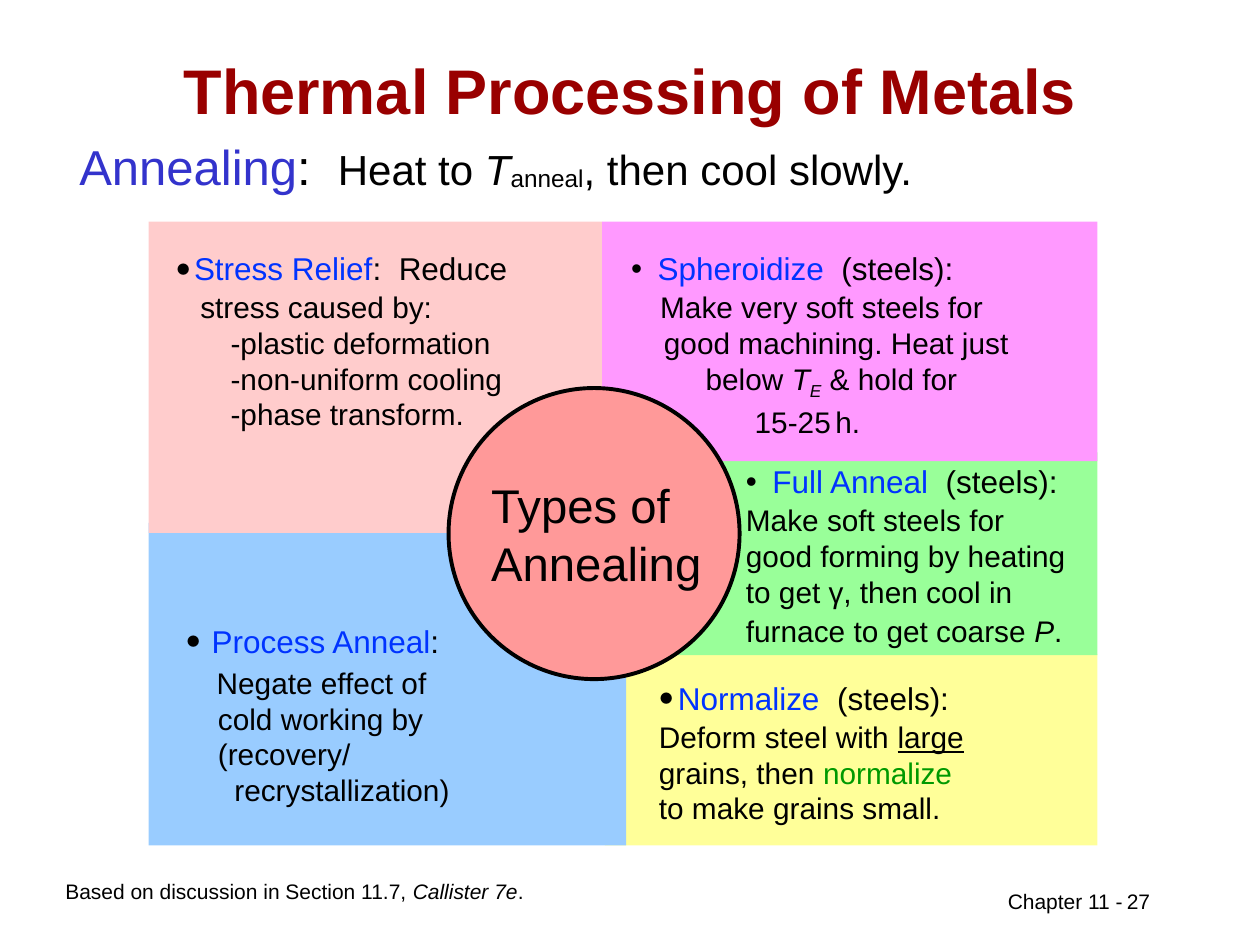
from dataclasses import dataclass

from lxml import etree
from pptx import Presentation
from pptx import util as u
from pptx.dml.color import RGBColor
from pptx.enum import shapes, text
from pptx.oxml import ns

BLACK, BLUE = "000000", "0033FF"
ROUND = "TeX Gyre Adventor"


@dataclass
class Run:
    """A piece of text with its own format."""
    words: str
    color: str = BLACK
    size: float = 17
    bold: bool = False
    italic: bool = False
    underline: bool = False
    baseline: int = 0


@dataclass
class Line:
    """A line of text, its left indent in inches and space before in points."""
    runs: list[Run]
    indent: float = 0
    before: float = 0


@dataclass
class Panel:
    """A coloured rectangle."""
    left: float
    top: float
    width: float
    height: float
    color: str


@dataclass
class Note:
    """A bulleted heading with the lines below it."""
    left: float
    top: float
    width: float
    hang: float
    bullet_font: str
    name: str
    rest: str
    lines: list[Line]


PANELS = [
    Panel(4.8, 5.19, 3.91, 1.52, "FFFF99"),
    Panel(1.18, 4.15, 3.79, 2.56, "99CCFF"),
    Panel(4.81, 3.59, 3.9, 1.61, "99FF99"),
    Panel(1.18, 1.76, 3.6, 2.47, "FFCCCC"),
    Panel(4.78, 1.76, 3.93, 1.9, "FF99FF"),
]

NOTES = [
    Note(1.47, 4.94, 2.4, 0.21, ROUND, "Process Anneal", ":", [
        Line([Run("Negate effect of")], 0.25, 2.5),
        Line([Run("cold working by")], 0.26),
        Line([Run("(recovery/")], 0.26),
        Line([Run("recrystallization)")], 0.39)]),
    Note(1.39, 1.98, 3, 0.15, ROUND, "Stress Relief", ":  Reduce", [
        Line([Run("stress caused by:")], 0.2, 1),
        Line([Run("-plastic deformation")], 0.44),
        Line([Run("-non-uniform cooling")], 0.44),
        Line([Run("-phase transform.")], 0.44)]),
    Note(5.23, 5.39, 3.2, 0.15, ROUND, "Normalize", "  (steels):", [
        Line([Run("Deform steel with "), Run("large", underline=True)], 0, 1),
        Line([Run("grains, then "), Run("normalize", "009900")]),
        Line([Run("to make grains small.")])]),
    Note(5.92, 3.67, 2.75, 0.21, "Arial", "Full Anneal", "  (steels):", [
        Line([Run("Make soft steels for")], 0, 1),
        Line([Run("good forming by heating")]),
        Line([Run("to get γ, then cool in")]),
        Line([Run("furnace to get coarse "), Run("P", italic=True), Run(".")], 0, 2)]),
    Note(5.01, 1.98, 3.5, 0.21, "Arial", "Spheroidize", "  (steels):", [
        Line([Run("Make very soft steels for")], 0.23, 1),
        Line([Run("good machining. Heat just")], 0.26),
        Line([Run("below "), Run("T", italic=True),
              Run("E", italic=True, baseline=-25), Run(" & hold for")], 0.59),
        Line([Run("15-25"), Run(" ", size=9), Run("h.")], 0.98, 1.5)]),
]


def rgb(color: str) -> RGBColor:
    """Turn a hex string into a colour."""
    return RGBColor.from_string(color)


def write(tf, lines: list[Line], align=text.PP_ALIGN.LEFT, anchor=text.MSO_ANCHOR.TOP,
          inset=(0, 0), wrap=True) -> None:
    """Fill a text frame with formatted lines."""
    tf.word_wrap, tf.vertical_anchor = wrap, anchor
    tf.auto_size = text.MSO_AUTO_SIZE.NONE
    tf.margin_left = tf.margin_right = u.Inches(inset[0])
    tf.margin_top = tf.margin_bottom = u.Inches(inset[1])
    for i, line in enumerate(lines):
        p = tf.add_paragraph() if i else tf.paragraphs[0]
        p.alignment, p.space_before = align, u.Pt(line.before)
        set_indent(p, line.indent)
        for run in line.runs:
            r = p.add_run()
            r.text = run.words
            f = r.font
            f.name, f.size, f.color.rgb = "Arial", u.Pt(run.size), rgb(run.color)
            f.bold, f.italic, f.underline = run.bold, run.italic, run.underline
            if run.baseline:
                r._r.get_or_add_rPr().set("baseline", str(run.baseline * 1000))


def set_indent(p, left: float, hang: float = 0, bullet_font: str = "") -> None:
    """Set the indents of a paragraph and its bullet, if it has one."""
    pPr = p._p.get_or_add_pPr()
    pPr.set("marL", str(u.Inches(left)))
    pPr.set("indent", str(-u.Inches(hang)))
    for tag in ("a:buNone", "a:buClr", "a:buFont", "a:buChar"):
        for old in pPr.findall(ns.qn(tag)):
            pPr.remove(old)
    if not bullet_font:
        etree.SubElement(pPr, ns.qn("a:buNone"))
        return
    color = etree.SubElement(pPr, ns.qn("a:buClr"))
    etree.SubElement(color, ns.qn("a:srgbClr"), val=BLACK)
    etree.SubElement(pPr, ns.qn("a:buFont"), typeface=bullet_font)
    etree.SubElement(pPr, ns.qn("a:buChar"), char="•")


def place(sp, left: float, top: float, width: float, height: float):
    """Move and size a shape."""
    sp.left, sp.top = u.Inches(left), u.Inches(top)
    sp.width, sp.height = u.Inches(width), u.Inches(height)
    return sp


def add_box(s, left: float, top: float, width: float, height: float,
            lines: list[Line], **fmt):
    """Add a text box and return its text frame."""
    sp = place(s.shapes.add_textbox(0, 0, 0, 0), left, top, width, height)
    write(sp.text_frame, lines, **fmt)
    return sp.text_frame


def add_panel(s, panel: Panel, kind=shapes.MSO_SHAPE.RECTANGLE):
    """Add a filled shape without a line."""
    sp = place(s.shapes.add_shape(kind, 0, 0, 0, 0),
               panel.left, panel.top, panel.width, panel.height)
    sp.shadow.inherit = False
    sp.fill.solid()
    sp.fill.fore_color.rgb = rgb(panel.color)
    sp.line.fill.background()
    return sp


def add_note(s, note: Note) -> None:
    """Add a bulleted heading and its lines in one box."""
    head = Line([Run(note.name, BLUE, 18), Run(note.rest, size=18)])
    height = 0.3 + 0.28 * len(note.lines)
    tf = add_box(s, note.left, note.top, note.width, height, [head, *note.lines])
    set_indent(tf.paragraphs[0], note.hang, note.hang, note.bullet_font)


def main() -> None:
    """Build the slide and save it."""
    prs = Presentation()
    prs.slide_width, prs.slide_height = u.Inches(10), u.Inches(7.5)
    s = prs.slides.add_slide(prs.slide_layouts[1])
    title = place(s.shapes.title, 0.75, 0.42, 8.5, 0.58)
    write(title.text_frame, [Line([Run("Thermal Processing of Metals", "990000", 36, bold=True)])],
          align=text.PP_ALIGN.CENTER, anchor=text.MSO_ANCHOR.MIDDLE, inset=(0.1, 0.05))
    body = place(s.placeholders[1], 0.63, 1.08, 7.5, 0.47)
    write(body.text_frame, [Line([
        Run("Annealing", "3333CC", 28), Run(":  ", size=28), Run("Heat to ", size=24),
        Run("T", size=24, italic=True), Run("anneal", size=24, baseline=-6),
        Run(", then cool slowly.", size=24)])])

    for panel in PANELS:
        add_panel(s, panel)
    hub = add_panel(s, Panel(3.56, 3.08, 2.31, 2.31, "FF9999"), shapes.MSO_SHAPE.OVAL)
    hub.line.color.rgb, hub.line.width = rgb(BLACK), u.Pt(2.25)
    write(hub.text_frame, [Line([Run("Types of", size=27)]),
                           Line([Run("Annealing", size=27)], before=1)],
          anchor=text.MSO_ANCHOR.MIDDLE, wrap=False)
    for note in NOTES:
        add_note(s, note)

    add_box(s, 0.42, 6.92, 6.17, 0.3, [Line([
        Run("Based on discussion in Section 11.7, ", size=12),
        Run("Callister 7e", size=12, italic=True), Run(".", size=12)])], inset=(0.1, 0.05))
    add_box(s, 7.9, 7, 1.12, 0.3, [Line([Run("Chapter 11 -", size=12)])],
            inset=(0.1, 0.05), wrap=False)
    add_box(s, 8.39, 7, 1.29, 0.39, [Line([Run("27", size=12)])],
            align=text.PP_ALIGN.CENTER, inset=(0.1, 0.05))
    prs.save("out.pptx")


if __name__ == "__main__":
    main()
